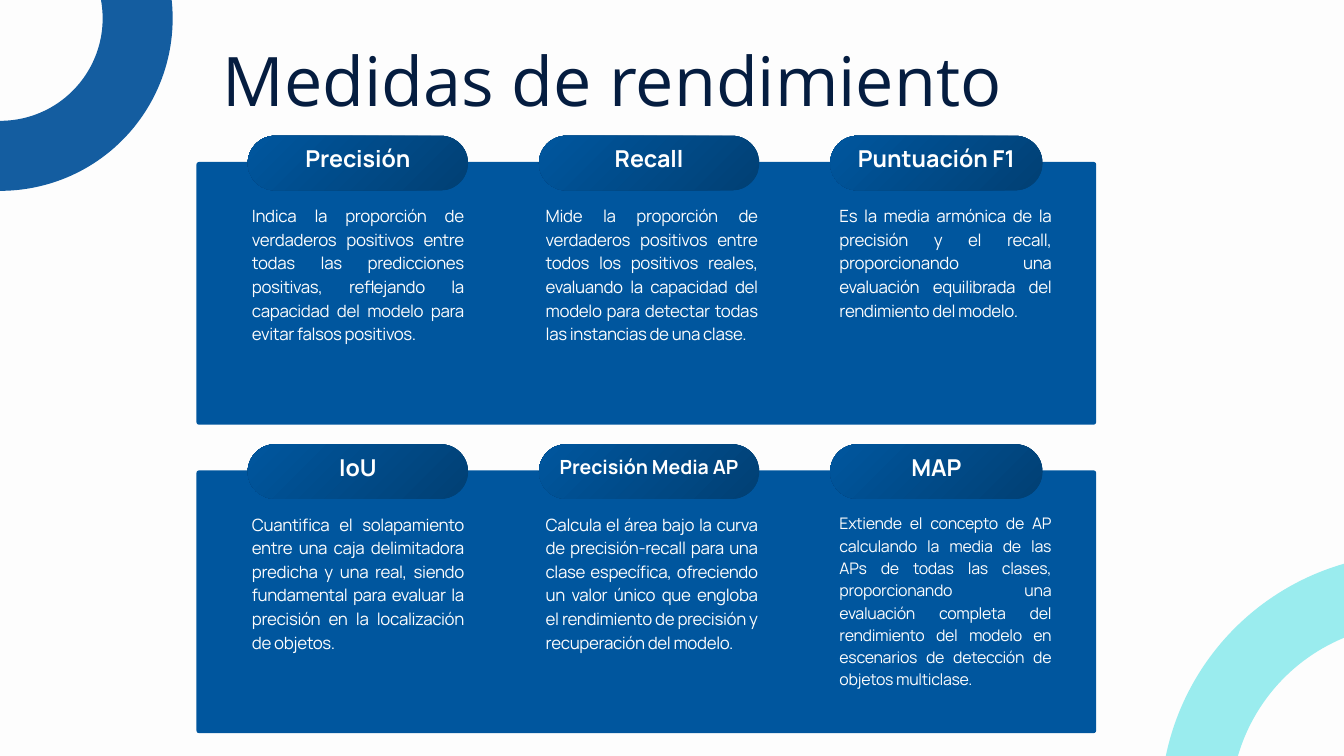
from lxml.etree import SubElement
from pptx import Presentation
from pptx.dml.color import RGBColor
from pptx.enum.shapes import MSO_SHAPE
from pptx.enum.text import MSO_ANCHOR, MSO_AUTO_SIZE, PP_ALIGN
from pptx.oxml.ns import qn
from pptx.util import Pt

BACKGROUND = RGBColor(0xFD, 0xFD, 0xFD)
NAVY = RGBColor(0x05, 0x1D, 0x40)
RING_BLUE = RGBColor(0x14, 0x5D, 0xA0)
RING_AQUA = RGBColor(0x9A, 0xEC, 0xEE)
PANEL_BLUE = RGBColor(0x00, 0x56, 0x9E)
DARK_BLUE = RGBColor(0x01, 0x40, 0x74)
WHITE = RGBColor(0xFF, 0xFF, 0xFF)

RINGS = [
    (-147, -127.5, 294.5, RING_BLUE),
    (1281, 631, 468, RING_AQUA),
]
PILL_WIDTHS = [236, 236, 227.5]
MEASURES = [
    [
        ("Precisión", 24.9, 34.8, "Indica la proporción de verdaderos positivos entre todas las "
         "predicciones positivas, reflejando la capacidad del modelo para evitar falsos positivos.",
         18.1, 25.3, -40),
        ("Recall", 24.9, 34.8, "Mide la proporción de verdaderos positivos entre todos los positivos "
         "reales, evaluando la capacidad del modelo para detectar todas las instancias de una clase.",
         18.1, 25.3, -40),
        ("Puntuación F1", 24.9, 34.8, "Es la media armónica de la precisión y el recall, "
         "proporcionando una evaluación equilibrada del rendimiento del modelo.",
         18.1, 25.3, -40),
    ],
    [
        ("IoU", 24.9, 34.8, "Cuantifica el solapamiento entre una caja delimitadora predicha y una "
         "real, siendo fundamental para evaluar la precisión en la localización de objetos.",
         18.1, 25.3, -40),
        ("Precisión Media AP", 20.9, 29.2, "Calcula el área bajo la curva de precisión-recall para "
         "una clase específica, ofreciendo un valor único que engloba el rendimiento de precisión "
         "y recuperación del modelo.",
         18.1, 25.3, -40),
        ("MAP", 24.9, 34.8, "Extiende el concepto de AP calculando la media de las APs de todas las "
         "clases, proporcionando una evaluación completa del rendimiento del modelo en escenarios "
         "de detección de objetos multiclase.",
         17.1, 23.9, -30),
    ],
]


def write_text(shape, text, font_name, size, line_spacing, color, alignment, anchor):
    frame = shape.text_frame
    frame.text = text
    frame.word_wrap = True
    frame.auto_size = MSO_AUTO_SIZE.NONE
    frame.vertical_anchor = anchor
    frame.margin_left = frame.margin_right = frame.margin_top = frame.margin_bottom = 0
    paragraph = frame.paragraphs[0]
    paragraph.alignment = alignment
    paragraph.line_spacing = Pt(line_spacing)
    run = paragraph.runs[0]
    run.font.name = font_name
    run.font.size = Pt(size)
    run.font.color.rgb = color
    return run


def add_plain_shape(kind, left, top, width, height):
    shape = slide.shapes.add_shape(kind, Pt(left), Pt(top), Pt(width), Pt(height))
    shape.shadow.inherit = False
    shape.line.fill.background()
    return shape


presentation = Presentation()
presentation.slide_width = Pt(1440)
presentation.slide_height = Pt(810)
slide = presentation.slides.add_slide(presentation.slide_layouts[5])
slide.background.fill.solid()
slide.background.fill.fore_color.rgb = BACKGROUND

title = slide.shapes.title
title.left, title.top, title.width, title.height = Pt(238.5), Pt(26.5), Pt(963.5), Pt(98)
write_text(title, "Medidas de rendimiento", "Open Sans", 73.2, 102.5, NAVY,
           PP_ALIGN.LEFT, MSO_ANCHOR.TOP)

for left, top, diameter, color in RINGS:
    ring = add_plain_shape(MSO_SHAPE.OVAL, left, top, diameter, diameter)
    ring.fill.background()
    ring.line.color.rgb = color
    ring.line.width = Pt(75)

for row, measures in enumerate(MEASURES):
    panel_top = 173.5 + 330.5 * row
    panel = add_plain_shape(MSO_SHAPE.ROUNDED_RECTANGLE, 210.5, panel_top, 964, 281.5)
    panel.adjustments[0] = 0.01
    panel.fill.solid()
    panel.fill.fore_color.rgb = PANEL_BLUE

    for column, measure in enumerate(measures):
        name, name_size, name_spacing, description, size, spacing, tracking = measure
        pill_left = 265.5 + 312 * column
        pill_width = PILL_WIDTHS[column]

        pill = add_plain_shape(MSO_SHAPE.ROUNDED_RECTANGLE, pill_left, panel_top - 28,
                               pill_width, 58.5)
        pill.adjustments[0] = 0.5
        pill.fill.gradient()
        for stop, color in zip(pill.fill.gradient_stops, (PANEL_BLUE, DARK_BLUE)):
            stop.color.rgb = color
        gradient = pill._element.spPr.find(qn("a:gradFill"))
        gradient.remove(gradient.find(qn("a:lin")))
        circle = SubElement(gradient, qn("a:path"), {"path": "circle"})
        SubElement(circle, qn("a:fillToRect"), {"r": "100000", "b": "100000"})

        label = slide.shapes.add_textbox(Pt(pill_left), Pt(panel_top - 43), Pt(pill_width), Pt(74))
        label_run = write_text(label, name, "Manrope", name_size, name_spacing, WHITE,
                               PP_ALIGN.CENTER, MSO_ANCHOR.MIDDLE)
        label_run.font.bold = True

        body = slide.shapes.add_textbox(Pt(270 + 314.75 * column), Pt(panel_top + 43.25),
                                        Pt(227), Pt(192))
        body_run = write_text(body, description, "Manrope", size, spacing, BACKGROUND,
                              PP_ALIGN.JUSTIFY, MSO_ANCHOR.TOP)
        body_run._r.get_or_add_rPr().set("spc", str(tracking))

presentation.save("out.pptx")
